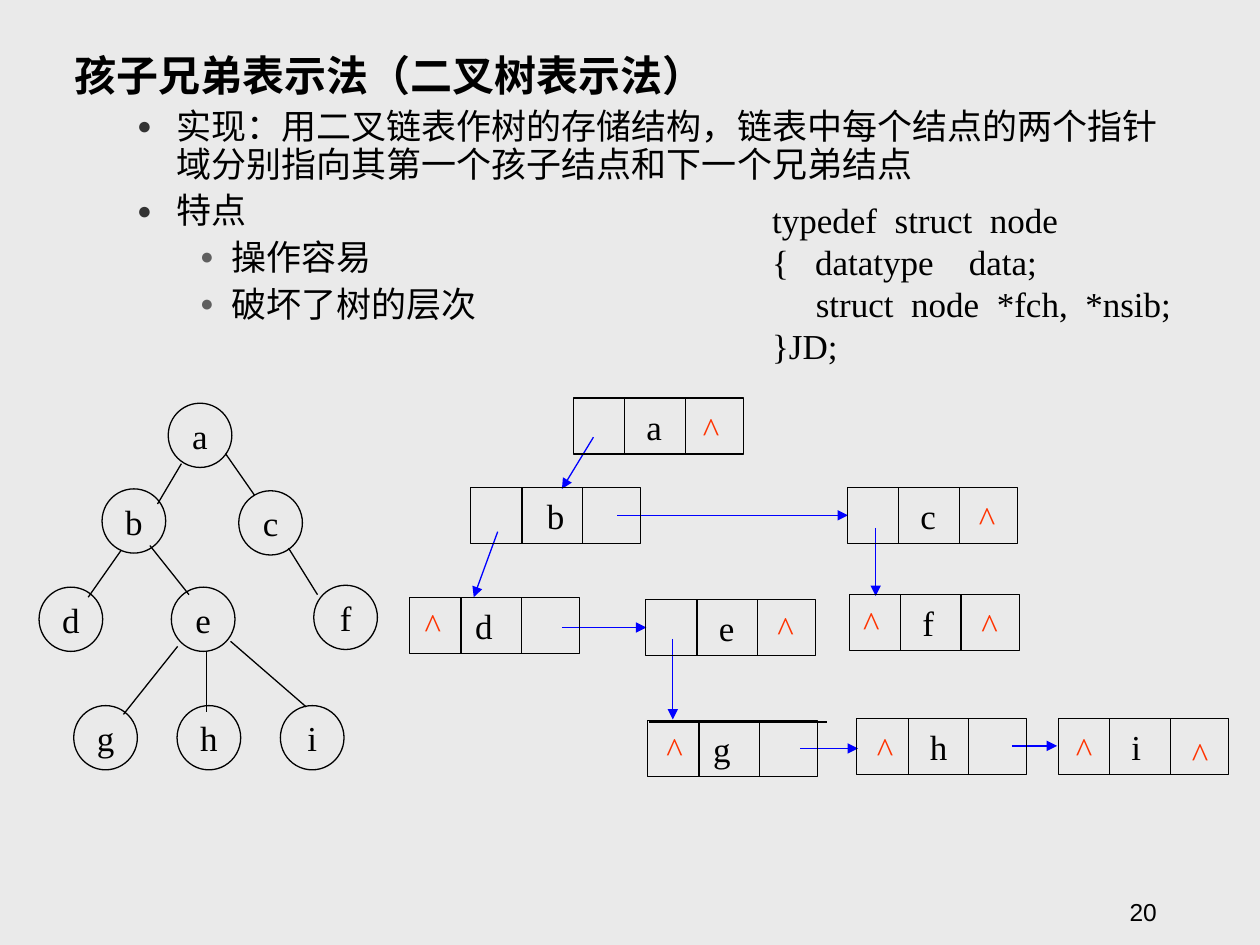
from lxml.etree import SubElement
from pptx import Presentation
from pptx.dml.color import RGBColor
from pptx.enum.shapes import MSO_CONNECTOR as Connector, MSO_SHAPE as Shape
from pptx.enum.text import MSO_ANCHOR as Anchor, PP_ALIGN as Align
from pptx.oxml.ns import qn
from pptx.util import Inches, Pt

COLUMNS, ROWS = 100, 75
WIDTH, HEIGHT = Inches(10), Inches(7.5)
BLACK, BLUE, RED = "000000", "0000FF", "FF3300"
SERIF, SANS = "Times New Roman", "Arial"
NODE_SIZE = (5.05, 5.1)
RECORD_SIZE = (13.5, 4.45)
DIVIDERS = (4.08, 8.88)
CARET_SIZE = (3.3, 4.4)


def color(value):
    return RGBColor.from_string(value)


def across(columns):
    return round(WIDTH * columns / COLUMNS)


def down(rows):
    return round(HEIGHT * rows / ROWS)


class Board:
    """Holds the slide and its style; lengths are grid columns and rows."""

    def __init__(self, slide, background):
        self.slide = slide
        fill = slide.background.fill
        fill.solid()
        fill.fore_color.rgb = color(background)

    def add_span(self, para, text, size=20, font=SERIF, ink=BLACK, bold=False):
        span = para.add_run()
        span.text = text
        span.font.size = Pt(size)
        span.font.name = font
        span.font.bold = bold
        span.font.color.rgb = color(ink)

    def frame(self, box, anchor=Anchor.MIDDLE, wrap=False, left=1):
        frame = box.text_frame
        frame.word_wrap = wrap
        frame.vertical_anchor = anchor
        frame.margin_left, frame.margin_right = across(left), across(1)
        frame.margin_top = frame.margin_bottom = down(0.5)
        return frame

    def text(self, x, y, width, height, lines, align=Align.LEFT,
             anchor=Anchor.MIDDLE, wrap=False, **style):
        box = self.slide.shapes.add_textbox(
            across(x), down(y), across(width), down(height))
        frame = self.frame(box, anchor, wrap)
        for index, line in enumerate(lines):
            para = frame.add_paragraph() if index else frame.paragraphs[0]
            para.alignment = align
            self.add_span(para, line, **style)

    def outline(self, x, y, width, height, items, levels):
        box = self.slide.shapes.add_textbox(
            across(x), down(y), across(width), down(height))
        frame = self.frame(box, Anchor.TOP, wrap=True)
        for index, (level, line) in enumerate(items):
            para = frame.add_paragraph() if index else frame.paragraphs[0]
            indent, hanging, bullet, percent, style = levels[level]
            para.level = level
            para.line_spacing = 0.9
            if index:
                para.space_before = Pt(5)
            properties = para._p.get_or_add_pPr()
            properties.set("marL", str(across(indent)))
            properties.set("indent", str(-across(hanging)))
            if bullet:
                tint = SubElement(properties, qn("a:buClr"))
                SubElement(tint, qn("a:srgbClr"), val=bullet)
                SubElement(properties, qn("a:buSzPct"), val=str(percent * 1000))
                SubElement(properties, qn("a:buFont"), typeface=SANS)
                SubElement(properties, qn("a:buChar"), char="●")
            self.add_span(para, line, font=SANS, **style)

    def shape(self, kind, x, y, size, label, align=Align.CENTER, **layout):
        box = self.slide.shapes.add_shape(
            kind, across(x), down(y), across(size[0]), down(size[1]))
        box.shadow.inherit = False
        box.fill.background()
        box.line.color.rgb = color(BLACK)
        box.line.width = Pt(0.75)
        para = self.frame(box, **layout).paragraphs[0]
        para.alignment = align
        self.add_span(para, label)

    def line(self, x1, y1, x2, y2, ink=BLACK, arrow=False):
        line = self.slide.shapes.add_connector(
            Connector.STRAIGHT, across(x1), down(y1), across(x2), down(y2))
        line.line.color.rgb = color(ink)
        line.line.width = Pt(0.75)
        if arrow:
            outline = line._element.spPr.find(qn("a:ln"))
            SubElement(outline, qn("a:tailEnd"), type="triangle")
        SubElement(line._element.spPr, qn("a:effectLst"))

    def record(self, label, x, y, label_offset):
        """Draws a list node: child field, data field, sibling field."""
        self.shape(Shape.RECTANGLE, x, y, RECORD_SIZE, label,
                   align=Align.LEFT, wrap=True, left=label_offset)
        for offset in DIVIDERS:
            self.line(x + offset, y, x + offset, y + RECORD_SIZE[1])


LEVELS = [
    (3.8, 3.8, None, None, {"size": 24, "bold": True}),
    (8.1, 3.1, "333333", 70, {}),
    (12.5, 2.5, "5F5F5F", 65, {}),
]
OUTLINE = [
    (0, "孩子兄弟表示法（二叉树表示法）"),
    (1, "实现：用二叉链表作树的存储结构，链表中每个结点的两个指针域分别指向其第一个孩子结点和下一个兄弟结点"),
    (1, "特点"),
    (2, "操作容易"),
    (2, "破坏了树的层次"),
]
CODE = [
    "typedef  struct  node",
    "{   datatype    data;",
    "     struct  node  *fch,  *nsib;",
    "}JD;",
]
TREE_NODES = {
    "a": (13.35, 32), "b": (8.1, 38.8), "c": (18.95, 38.95),
    "d": (3.1, 46.6), "e": (13.6, 46.6), "f": (24.9, 46.45),
    "g": (5.85, 56), "h": (14.05, 56), "i": (22.25, 56),
}
TREE_EDGES = [
    (14.4, 36.8, 12.5, 40), (9.6, 43.7, 7, 47.4), (17.9, 36, 20.2, 39.3),
    (11.9, 43.3, 15, 47.2), (22.9, 43.5, 25.2, 47.2), (16.4, 51.7, 16.4, 56.5),
    (14.1, 51.3, 9.8, 56.7), (18.3, 50.9, 24.3, 56.1),
]
POINTERS = [
    (47.1, 34.7, 44.6, 38.8), (39.5, 42.2, 37.6, 47.4), (49, 40.9, 67.3, 40.9),
    (44.6, 49.8, 51.3, 49.8), (53.4, 50.7, 53.4, 57.1), (63.5, 59.4, 68.1, 59.4),
    (80.3, 59.2, 83.9, 59.2), (69.5, 41.9, 69.5, 47.3),
]
CARETS = [
    (76.9, 47.4), (54.8, 31.8), (76.7, 38.9), (32.7, 47.4), (60.7, 47.6),
    (67.5, 47.2), (51.9, 57.2), (68.6, 57.2), (84.4, 57.2), (93.6, 57.6),
]
RECORDS = [
    ("a", 45.5, 31.6, 5.8), ("b", 37.35, 38.7, 6.05), ("c", 67.25, 38.7, 5.8),
    ("d", 32.5, 47.4, 5.2), ("e", 51.25, 47.6, 5.8), ("f", 67.4, 47.2, 5.8),
    ("g", 51.4, 57.2, 5.2), ("h", 68, 57, 5.8), ("i", 84, 57, 5.8),
]


def main():
    deck = Presentation()
    deck.slide_width, deck.slide_height = WIDTH, HEIGHT
    board = Board(deck.slides.add_slide(deck.slide_layouts[6]), "EAEAEA")

    board.outline(4.9, 3.9, 90.6, 24, OUTLINE, LEVELS)
    board.text(60.3, 15.2, 33.7, 14.4, CODE)

    for label, (x, y) in TREE_NODES.items():
        board.shape(Shape.OVAL, x, y, NODE_SIZE, label)
    for edge in TREE_EDGES:
        board.line(*edge)

    for pointer in POINTERS:
        board.line(*pointer, ink=BLUE, arrow=True)
    for x, y in CARETS:
        board.text(x, y, *CARET_SIZE, ["^"], align=Align.CENTER, ink=RED)
    for record in RECORDS:
        board.record(*record)
    board.line(51.5, 57.3, 65.6, 57.3)

    board.text(72, 69, 20.8, 5, ["20"], align=Align.RIGHT, anchor=Anchor.BOTTOM,
               wrap=True, size=14, font=SANS)
    deck.save("out.pptx")


if __name__ == "__main__":
    main()
